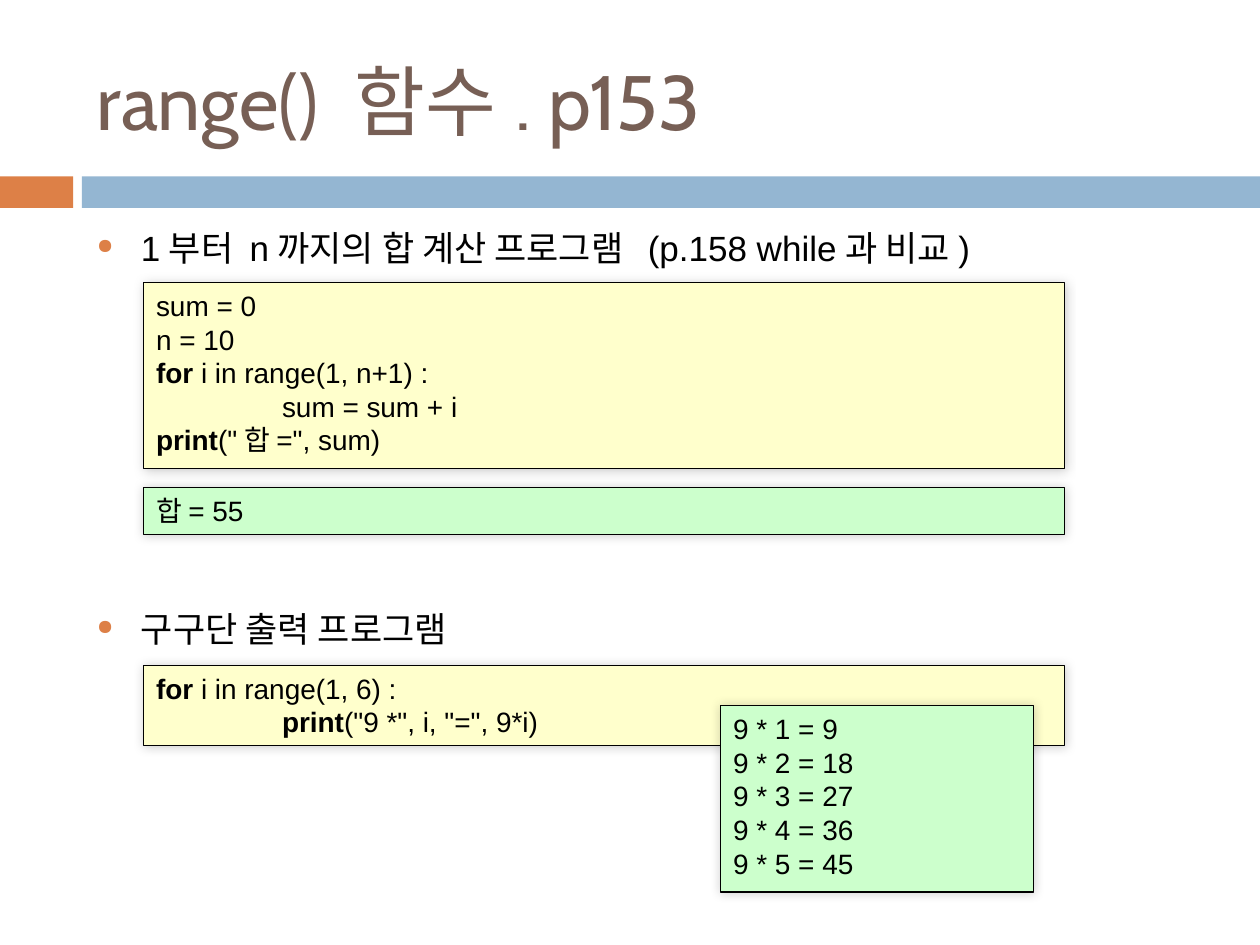
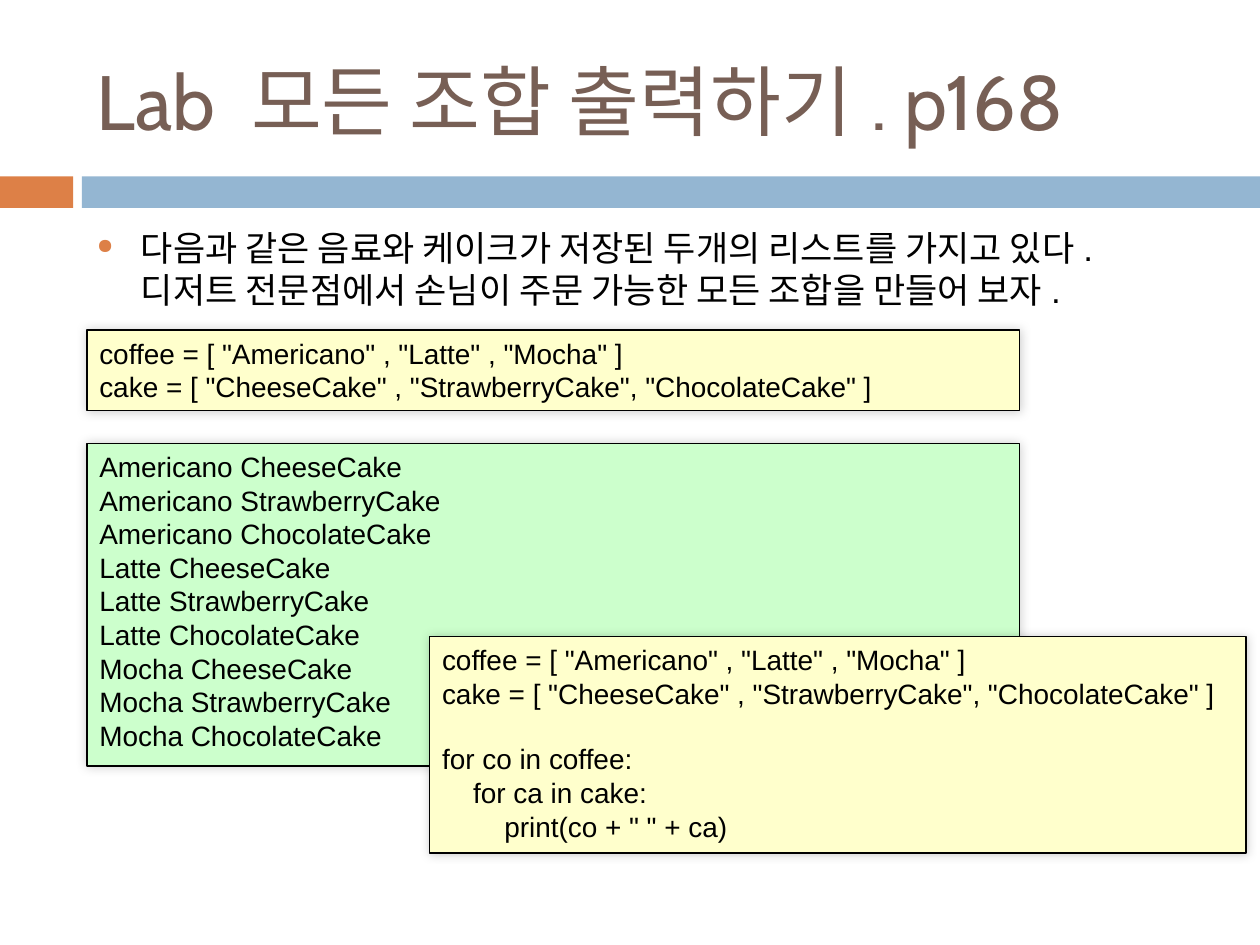
from dataclasses import dataclass

from lxml import etree
from pptx import Presentation
from pptx import util as u
from pptx.dml.color import RGBColor
from pptx.enum import shapes, text
from pptx.oxml import ns

COLUMNS, ROWS = 100, 75


@dataclass(frozen=True)
class Theme:
    accent: str = "DD8047"
    band: str = "94B6D2"
    heading: str = "775F55"
    ink: str = "000000"
    code: str = "FFFFCC"
    output: str = "CCFFCC"
    title_font: str = "Cabin"
    body_font: str = "Arial"
    title_size: float = 44
    bullet_size: float = 20
    code_size: float = 16
    code_line: float = 18.4


@dataclass(frozen=True)
class Line:
    """A line of code: a bold keyword, then plain text; indent is in columns."""
    plain: str
    bold: str = ""
    indent: float = 0
    skipped: int = 0


class Painter:
    def __init__(self, theme):
        self.theme = theme
        self.deck = Presentation()
        self.deck.slide_width, self.deck.slide_height = u.Inches(10), u.Inches(7.5)
        self.page = None

    def columns(self, count):
        return round(self.deck.slide_width * count / COLUMNS)

    def area(self, left, top, width, height):
        row = self.deck.slide_height / ROWS
        return self.columns(left), round(top * row), self.columns(width), round(height * row)

    def span(self, para, words, size, font, color, bold=False):
        span = para.add_run()
        span.text = words
        for name, value in dict(size=u.Pt(size), name=font, bold=bold).items():
            setattr(span.font, name, value)
        span.font.color.rgb = RGBColor.from_string(color)

    def rectangle(self, area, fill):
        box = self.page.shapes.add_shape(shapes.MSO_SHAPE.RECTANGLE, *self.area(*area))
        box.shadow.inherit = False
        box.fill.solid()
        box.fill.fore_color.rgb = RGBColor.from_string(fill)
        box.line.fill.background()
        return box

    def text_box(self, area):
        box = self.page.shapes.add_textbox(*self.area(*area))
        box.text_frame.word_wrap = True
        return box.text_frame

    def start(self, title):
        """Add a page with the shared title and two-part band."""
        self.page = self.deck.slides.add_slide(self.deck.slide_layouts[6])
        self.rectangle((0, 14, 5.8, 2.5), self.theme.accent)
        self.rectangle((6.5, 14, 93.5, 2.5), self.theme.band)
        frame = self.text_box((6.7, 2.5, 89.2, 10.8))
        frame.vertical_anchor = text.MSO_ANCHOR.MIDDLE
        self.span(frame.paragraphs[0], title, self.theme.title_size,
                  self.theme.title_font, self.theme.heading)

    def bullet(self, top, words):
        para = self.text_box((6.7, top, 89.2, 8)).paragraphs[0]
        para.space_before = u.Pt(7)
        indent = self.columns(3.5)
        props = para._p.get_or_add_pPr()
        props.set("marL", str(indent))
        props.set("indent", str(-indent))
        color = etree.SubElement(props, ns.qn("a:buClr"))
        etree.SubElement(color, ns.qn("a:srgbClr"), val=self.theme.accent)
        etree.SubElement(props, ns.qn("a:buSzPct"), val="60000")
        etree.SubElement(props, ns.qn("a:buChar"), char="●")
        self.span(para, words, self.theme.bullet_size, self.theme.body_font, self.theme.ink)

    def soft_shadow(self, box):
        effects = box._element.spPr.find(ns.qn("a:effectLst"))
        shadow = etree.SubElement(effects, ns.qn("a:outerShdw"), blurRad=str(u.Pt(6)),
                                  dist="0", dir=str(315 * 60000), rotWithShape="0")
        color = etree.SubElement(shadow, ns.qn("a:srgbClr"), val=self.theme.ink)
        etree.SubElement(color, ns.qn("a:alpha"), val="20000")

    def listing(self, area, fill, lines):
        box = self.rectangle(area, fill)
        self.soft_shadow(box)
        box.line.color.rgb = RGBColor.from_string(self.theme.ink)
        box.line.width = u.Pt(0.75)
        frame = box.text_frame
        frame.word_wrap = True
        frame.vertical_anchor = text.MSO_ANCHOR.TOP
        for number, line in enumerate(lines):
            para = frame.add_paragraph() if number else frame.paragraphs[0]
            para.alignment = text.PP_ALIGN.LEFT
            para.space_before = u.Pt(line.skipped * self.theme.code_line)
            para._p.get_or_add_pPr().set("marL", str(self.columns(line.indent)))
            for words, bold in ((line.bold, True), (line.plain, False)):
                if words:
                    self.span(para, words, self.theme.code_size, self.theme.body_font,
                              self.theme.ink, bold)

    def code(self, area, *lines):
        self.listing(area, self.theme.code, lines)

    def output(self, area, lines):
        self.listing(area, self.theme.output, [Line(words) for words in lines])


def range_page(painter):
    painter.start("range() 함수. p153")
    left, width, tab = 11.4, 73.1, 10
    painter.bullet(17.5, "1부터 n까지의 합 계산 프로그램  (p.158 while과 비교)")
    painter.code((left, 22.4, width, 14.8),
                 Line("sum = 0"),
                 Line("n = 10"),
                 Line(" i in range(1, n+1) :", bold="for"),
                 Line("sum = sum + i", indent=tab),
                 Line('("합=", sum)', bold="print"))
    painter.output((left, 38.7, width, 3.7), ["합= 55"])
    painter.bullet(47.7, "구구단 출력 프로그램")
    painter.code((left, 52.8, width, 6.4),
                 Line(" i in range(1, 6) :", bold="for"),
                 Line('("9 *", i, "=", 9*i)', bold="print", indent=tab))
    painter.output((57.2, 56, 24.8, 14.8), [f"9 * {i} = {9 * i}" for i in range(1, 6)])


def combinations_page(painter):
    painter.start("Lab 모든 조합 출력하기. p168")
    left, width, tab = 6.9, 74, 2.47
    coffees = ["Americano", "Latte", "Mocha"]
    cakes = ["CheeseCake", "StrawberryCake", "ChocolateCake"]
    lists = [Line('coffee = [ "Americano" , "Latte" , "Mocha" ]'),
             Line('cake = [ "CheeseCake" , "StrawberryCake", "ChocolateCake" ]')]
    painter.bullet(17.5, "다음과 같은 음료와 케이크가 저장된 두개의 리스트를 가지고 있다. "
                         "디저트 전문점에서 손님이 주문 가능한 모든 조합을 만들어 보자.")
    painter.output((left, 35.2, width, 25.6),
                   [f"{coffee} {cake}" for coffee in coffees for cake in cakes])
    painter.code((left, 26.2, width, 6.4), *lists)
    painter.code((34.1, 50.5, 64.8, 17.2), *lists,
                 Line("for co in coffee:", skipped=1),
                 Line("for ca in cake:", indent=tab),
                 Line('print(co + " " + ca)', indent=2 * tab))


def main():
    painter = Painter(Theme())
    range_page(painter)
    combinations_page(painter)
    painter.deck.save("out.pptx")


if __name__ == "__main__":
    main()
